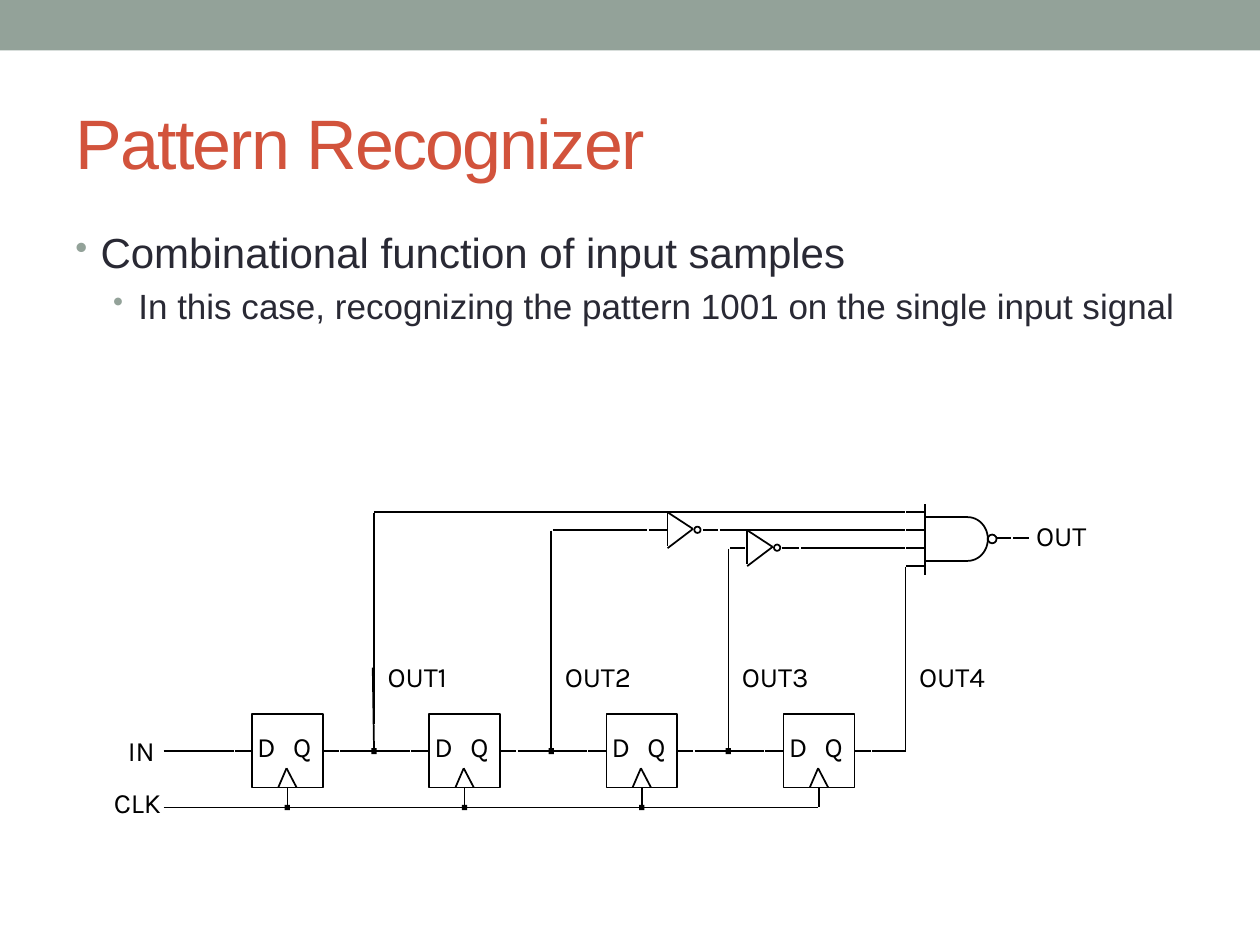
from dataclasses import dataclass
from math import cos, pi, sin

from lxml.etree import SubElement
from pptx import Presentation
from pptx.dml.color import RGBColor
from pptx.enum.shapes import MSO_CONNECTOR, MSO_SHAPE
from pptx.enum.text import MSO_ANCHOR, PP_ALIGN
from pptx.oxml.ns import qn
from pptx.util import Pt


@dataclass(frozen=True)
class Theme:
    accent: str = "93A299"
    heading: str = "D2533C"
    body: str = "292934"
    ink: str = "000000"
    paper: str = "FFFFFF"
    title_size: int = 40
    point_size: int = 24
    detail_size: int = 20
    label_size: int = 16
    text_font: str = "Arial"
    label_font: str = "Karla"


theme = Theme()
deck = Presentation()
deck.slide_width, deck.slide_height = Pt(720), Pt(540)
slide = deck.slides.add_slide(deck.slide_layouts[6])


def write(paragraph, text, size, color, font=theme.text_font, align=PP_ALIGN.LEFT,
          leading=None, before=0, tracking=None, indent=None, level=0):
    paragraph.alignment = align
    paragraph.level = level
    paragraph.space_before = Pt(before)
    if leading:
        paragraph.line_spacing = Pt(leading)
    run = paragraph.add_run()
    run.text = text
    run.font.size = Pt(size)
    run.font.name = font
    run.font.color.rgb = RGBColor.from_string(color)
    if tracking:
        run.font._element.set("spc", str(tracking * 100))
    if indent:
        props = paragraph._p.get_or_add_pPr()
        props.set("marL", str(Pt(indent)))
        props.set("indent", str(Pt(-14.4)))
        bullet_color = SubElement(props, qn("a:buClr"))
        SubElement(bullet_color, qn("a:srgbClr"), val=theme.accent)
        SubElement(props, qn("a:buSzPct"), val="85000")
        SubElement(props, qn("a:buChar"), char="•")


def wire(x1, y1, x2, y2, start=None, end=None):
    line = slide.shapes.add_connector(MSO_CONNECTOR.STRAIGHT, Pt(x1), Pt(y1), Pt(x2), Pt(y2))
    line.line.color.rgb = RGBColor.from_string(theme.ink)
    line.line.width = Pt(1)
    SubElement(line._element.spPr, qn("a:effectLst"))
    if start:
        line.begin_connect(*start)
    if end:
        line.end_connect(*end)


pitch = 101.25
flop_lefts = [144 + pitch * i for i in range(4)]
flop_top, flop_width, flop_height = 408, 40.5, 42
flop_bottom = flop_top + flop_height
data_y, clock_y = flop_top + flop_height / 2, 461.5
taps = [left + 69.75 for left in flop_lefts]
clocks = [left + flop_width / 2 for left in flop_lefts]
input_rows = [292.5 + 10.25 * i for i in range(4)]
inverters = [(381.5, input_rows[1]), (427, input_rows[2])]
gate_left, arc_left, gate_top, gate_bottom = 528.5, 553, 295.5, 320.5
gate_middle = (gate_top + gate_bottom) / 2

RECT, OVAL = MSO_SHAPE.RECTANGLE, MSO_SHAPE.OVAL
parts = [(RECT, left, flop_top, flop_width, flop_height, theme.paper, True) for left in flop_lefts]
parts += [(RECT, 0, 0, 720, 28.8, theme.accent, False)]
parts += [(RECT, x - 1.5, data_y - 1.5, 3, 3.5, theme.ink, False) for x in taps[:3]]
parts += [(RECT, x - 1.5, clock_y - 1.5, 3, 3, theme.ink, False) for x in clocks[:3]]
parts += [(OVAL, x + 15.25, y - 1.8, 3.6, 3.6, None, True) for x, y in inverters]
parts += [(OVAL, 564.5, gate_middle - 2.5, 5, 5, None, True)]

drawn = []
for preset, x, y, width, height, fill, outlined in parts:
    part = slide.shapes.add_shape(preset, Pt(x), Pt(y), Pt(width), Pt(height))
    part.shadow.inherit = False
    if fill:
        part.fill.solid()
        part.fill.fore_color.rgb = RGBColor.from_string(fill)
    else:
        part.fill.background()
    if outlined:
        part.line.color.rgb = RGBColor.from_string(theme.ink)
        part.line.width = Pt(1)
    else:
        part.line.fill.background()
    drawn.append(part)
flops = drawn[:4]

for x, row in inverters:
    wire(x, row - 10, x + 14.5, row - 0.5)
    wire(x, row + 10.5, x + 14.5, row - 0.5)
    wire(x, row - 10, x, row + 9.5)

for y in (gate_top, gate_bottom):
    wire(gate_left, y, arc_left, y)
wire(gate_left, gate_top, gate_left, gate_bottom)
wire(gate_left, 288, gate_left, gate_top)
wire(gate_left, 328.5, gate_left, gate_bottom)
for direction in (-1, 1):
    curve = [(arc_left + 11.5 * sin(step * pi / 24),
              gate_middle + direction * 12.5 * cos(step * pi / 24)) for step in range(13)]
    builder = slide.shapes.build_freeform(Pt(curve[0][0]), Pt(curve[0][1]))
    builder.add_line_segments([(Pt(x), Pt(y)) for x, y in curve[1:]], close=False)
    arc = builder.convert_to_shape()
    arc.shadow.inherit = False
    arc.fill.background()
    arc.line.color.rgb = RGBColor.from_string(theme.ink)
    arc.line.width = Pt(1)

row_runs = [
    [(taps[0], 517)],
    [(taps[1] + 1, 370), (371, 381), (401.75, 410.5), (411.25, 517)],
    [(taps[2] + 1, 426), (447, 456.5), (458, 517)],
    [],
]
for row, tap, runs in zip(input_rows, taps, row_runs):
    for x1, x2 in runs + [(517.75, 528)]:
        wire(x1, row, x2, row)
    wire(tap, row + 0.5, tap, 413.5)
    wire(tap - (0.75 if tap == taps[0] else 0), 381.5, tap, data_y)
for x1, x2 in ((569.5, 578), (579, 588)):
    wire(x1, 307.5, x2, 307.5)

wire(93.5, data_y, 133.5, data_y)
wire(134.5, data_y, flop_lefts[0], data_y, end=(flops[0], 1))
rail_start = 93.5
for i, (flop, left, tap, clock) in enumerate(zip(flops, flop_lefts, taps, clocks)):
    wire(left + flop_width, data_y, left + 49.75, data_y, start=(flop, 3))
    wire(left + 50.5, data_y, tap, data_y)
    if i < 3:
        wire(tap + 1.25, data_y, left + 90, data_y)
        wire(left + 90.75, data_y, left + pitch, data_y, end=(flops[i + 1], 1))
    for foot in (15, 25.5):
        wire(left + foot, flop_bottom, left + 19.75, 439)
    wire(clock, flop_bottom, clock, 461, start=(flop, 2))
    wire(rail_start, clock_y, clock - 0.5, clock_y)
    rail_start = clock + 0.75

labels = [("IN", 48, 419.5, 42, PP_ALIGN.RIGHT), ("CLK", 54, 449.5, 39.5, PP_ALIGN.RIGHT),
          ("OUT", 590.5, 296.5, 62, PP_ALIGN.LEFT)]
for i, left in enumerate(flop_lefts):
    labels += [("D", left + 1.5, 417.5, 19, PP_ALIGN.LEFT),
               ("Q", left + 22, 417.5, 19, PP_ALIGN.LEFT),
               (f"OUT{i + 1}", left + 76, 377, 56, PP_ALIGN.LEFT)]
for text, x, y, width, align in labels:
    frame = slide.shapes.add_textbox(Pt(x), Pt(y), Pt(width), Pt(26.5)).text_frame
    frame.word_wrap = False
    frame.margin_left = frame.margin_right = Pt(1.5)
    frame.margin_top = frame.margin_bottom = Pt(2)
    write(frame.paragraphs[0], text, size=theme.label_size, color=theme.ink,
          font=theme.label_font, align=align, leading=16.8)

title = slide.shapes.add_textbox(Pt(36), Pt(42), Pt(648), Pt(77.5)).text_frame
title.word_wrap = True
title.vertical_anchor = MSO_ANCHOR.MIDDLE
write(title.paragraphs[0], "Pattern Recognizer", size=theme.title_size,
      color=theme.heading, tracking=-1)

points = slide.shapes.add_textbox(Pt(36), Pt(126), Pt(648), Pt(384)).text_frame
points.word_wrap = True
write(points.paragraphs[0], "Combinational function of input samples",
      size=theme.point_size, color=theme.body, before=4.8, indent=14.4)
write(points.add_paragraph(),
      "In this case, recognizing the pattern 1001 on the single input signal",
      size=theme.detail_size, color=theme.body, before=4, indent=36, level=1)

deck.save("out.pptx")
